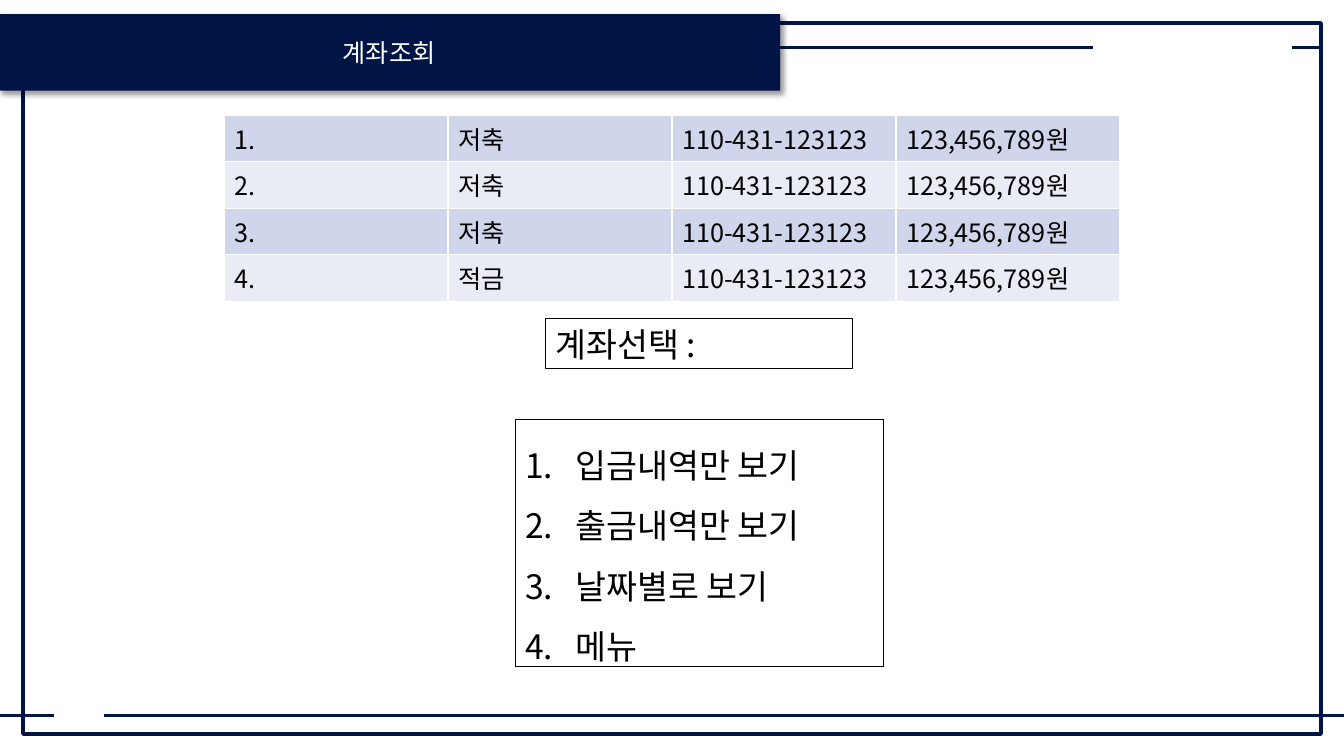
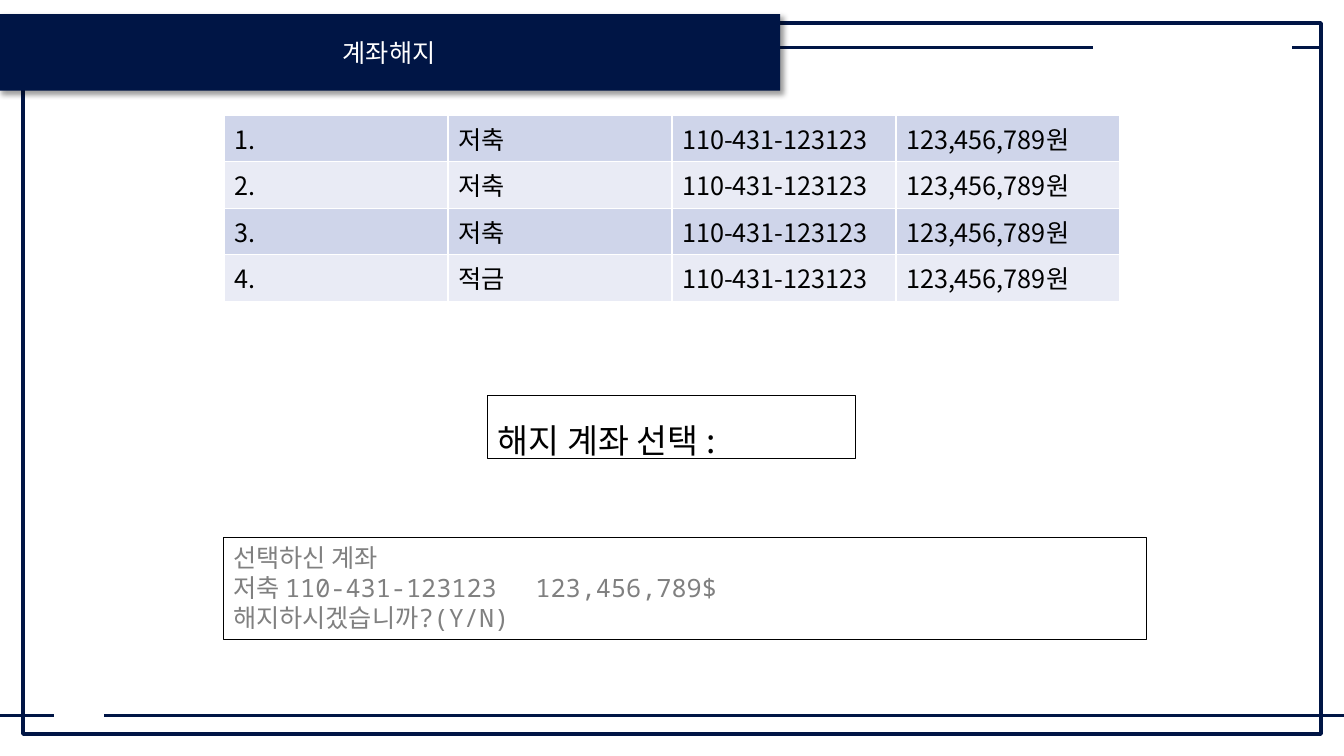
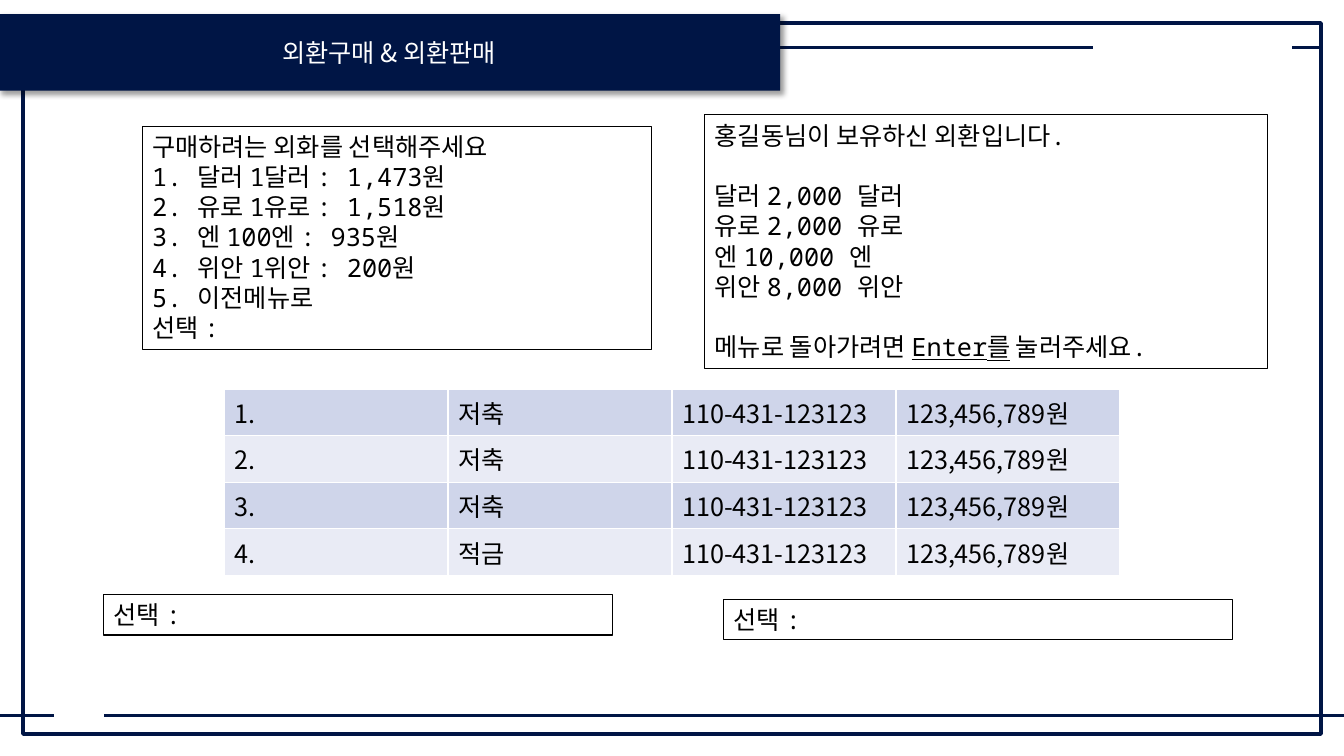
from lxml.etree import SubElement
from pptx import Presentation
from pptx.dml.color import RGBColor
from pptx.enum.shapes import MSO_CONNECTOR, MSO_SHAPE
from pptx.enum.text import MSO_ANCHOR, MSO_AUTO_SIZE as AutoSize, PP_ALIGN
from pptx.oxml.ns import qn
from pptx.util import Inches, Pt

COLORS = {
    "navy": "001545",
    "white": "FFFFFF",
    "black": "000000",
    "grey": "808080",
    "band_dark": "CFD5EA",
    "band_light": "E9EBF5",
}
SANS, MONO = "Noto Sans CJK KR", "Noto Sans Mono"

deck = Presentation()
deck.slide_width, deck.slide_height = Inches(13.33), Inches(7.5)
COL, ROW = deck.slide_width / 100, deck.slide_height / 100


def grid(left, top, width, height):
    return [int(left * COL), int(top * ROW), int(width * COL), int(height * ROW)]


def add_text(paragraph, text, size=18, font=SANS, color="black", underline=None):
    run = paragraph.add_run()
    run.text = text
    run.font.size = Pt(size)
    run.font.name = font
    run.font.underline = underline
    run.font.color.rgb = RGBColor.from_string(COLORS[color])
    SubElement(run.font._element, qn("a:ea"), typeface=SANS)


RULES = [
    (81.3, -0.15, 6.27),
    (100, 7.73, 94.67),
    (98.25, 96.1, 6.27),
    (4, 0, 94.67),
]
ACCOUNTS = [
    (f"{number}.", kind, "110-431-123123", "123,456,789원")
    for number, kind in enumerate(["저축", "저축", "저축", "적금"], 1)
]
LARGE = {"size": 24}
CONSOLE = {"font": MONO}
CONFIRM = {"font": MONO, "color": "grey"}

PAGES = [
    {
        "title": "계좌조회",
        "accounts": (15.2, 6.15),
        "boxes": [
            ((38.33, 55.47, 27.38, 32.67), LARGE, 1.5, True,
             [["입금내역만 보기", "출금내역만 보기", "날짜별로 보기", "메뉴"]]),
            ((40.58, 42.13, 22.88, 6.67), LARGE, None, False, [["계좌선택 :"]]),
        ],
    },
    {
        "title": "계좌해지",
        "accounts": (15.2, 5.4),
        "boxes": [
            ((36.31, 52.27, 27.38, 8.4), LARGE, 1.5, False, [["해지 계좌 선택 :"]]),
            ((16.6, 71.07, 68.72, 13.47), CONFIRM, None, False,
             [["선택하신 계좌",
               "저축 110-431-123123 \t123,456,789$",
               "해지하시겠습니까?(Y/N)"]]),
        ],
    },
    {
        "title": "외환구매 & 외환판매",
        "accounts": (51.47, 5.4),
        "boxes": [
            ((10.58, 16.67, 37.88, 29.6), CONSOLE, None, False,
             [["구매하려는 외화를 선택해주세요",
               "1. 달러 1달러 : 1,473원",
               "2. 유로 1유로 : 1,518원",
               "3. 엔 100엔 : 935원",
               "4. 위안 1위안 : 200원",
               "5. 이전메뉴로",
               "선택 :"]]),
            ((53.86, 79.33, 37.88, 5.33), CONSOLE, None, False, [["선택 :"]]),
            ((52.44, 15.2, 41.86, 33.6), CONSOLE, None, False,
             [["홍길동님이 보유하신 외환입니다."],
              ["달러 2,000 달러", "유로 2,000 유로", "엔 10,000 엔", "위안 8,000 위안"],
              ["메뉴로 돌아가려면 |Enter를| 눌러주세요."]]),
            ((7.73, 78.67, 37.88, 5.33), CONSOLE, None, False, [["선택 :"]]),
        ],
    },
]

for page in PAGES:
    slide = deck.slides.add_slide(deck.slide_layouts[6])
    navy = RGBColor.from_string(COLORS["navy"])

    frame = slide.shapes.add_shape(MSO_SHAPE.RECTANGLE, *grid(1.73, 3.07, 96.55, 94))
    frame.shadow.inherit = False
    frame.fill.background()
    frame.line.color.rgb = navy
    frame.line.width = Pt(3)

    for start, end, height in RULES:
        rule = slide.shapes.add_connector(
            MSO_CONNECTOR.STRAIGHT, *grid(start, height, end, height))
        rule.line.color.rgb = navy
        rule.line.width = Pt(2)
        SubElement(rule._element.spPr, qn("a:effectLst"))

    banner = slide.shapes.add_shape(MSO_SHAPE.RECTANGLE, *grid(-0.15, 1.87, 58.2, 10.13))
    banner.shadow.inherit = False
    banner.fill.solid()
    banner.fill.fore_color.rgb = navy
    banner.line.fill.background()
    shadow = SubElement(
        banner._element.spPr.find(qn("a:effectLst")), qn("a:outerShdw"),
        blurRad=str(Pt(4)), dist=str(Pt(3)), dir="2700000", algn="tl", rotWithShape="0")
    shade = SubElement(shadow, qn("a:srgbClr"), val=COLORS["black"])
    SubElement(shade, qn("a:alpha"), val="40000")
    banner.text_frame.word_wrap = True
    banner.text_frame.vertical_anchor = MSO_ANCHOR.MIDDLE
    title = banner.text_frame.paragraphs[0]
    title.alignment = PP_ALIGN.CENTER
    add_text(title, page["title"], color="white")

    top, row_height = page["accounts"]
    accounts = slide.shapes.add_table(
        len(ACCOUNTS), len(ACCOUNTS[0]),
        *grid(100 / 6, top, 200 / 3, row_height * len(ACCOUNTS))).table
    accounts.first_row = False
    accounts.horz_banding = False
    for row, account in enumerate(ACCOUNTS):
        band = "band_light" if row % 2 else "band_dark"
        for column, value in enumerate(account):
            cell = accounts.cell(row, column)
            cell.fill.solid()
            cell.fill.fore_color.rgb = RGBColor.from_string(COLORS[band])
            add_text(cell.text_frame.paragraphs[0], value)

    for area, style, spacing, numbered, groups in page["boxes"]:
        box = slide.shapes.add_textbox(*grid(*area))
        box.line.color.rgb = RGBColor.from_string(COLORS["black"])
        box.line.width = Pt(0.75)
        body = box.text_frame
        body.word_wrap = True
        body.auto_size = AutoSize.SHAPE_TO_FIT_TEXT
        lines = [(group, place, line) for group, members in enumerate(groups)
                 for place, line in enumerate(members)]
        for group, place, line in lines:
            first = group == place == 0
            paragraph = body.paragraphs[0] if first else body.add_paragraph()
            paragraph.line_spacing = spacing
            if group and place == 0:
                paragraph.space_before = Pt(21.6)
            if numbered:
                properties = paragraph._p.get_or_add_pPr()
                properties.set("marL", str(Inches(0.5)))
                properties.set("indent", str(-Inches(0.5)))
                SubElement(properties, qn("a:buFont"), typeface=SANS)
                SubElement(properties, qn("a:buAutoNum"), type="arabicPeriod")
            for position, part in enumerate(line.split("|")):
                add_text(paragraph, part, underline=position % 2 == 1 or None, **style)

deck.save("out.pptx")
